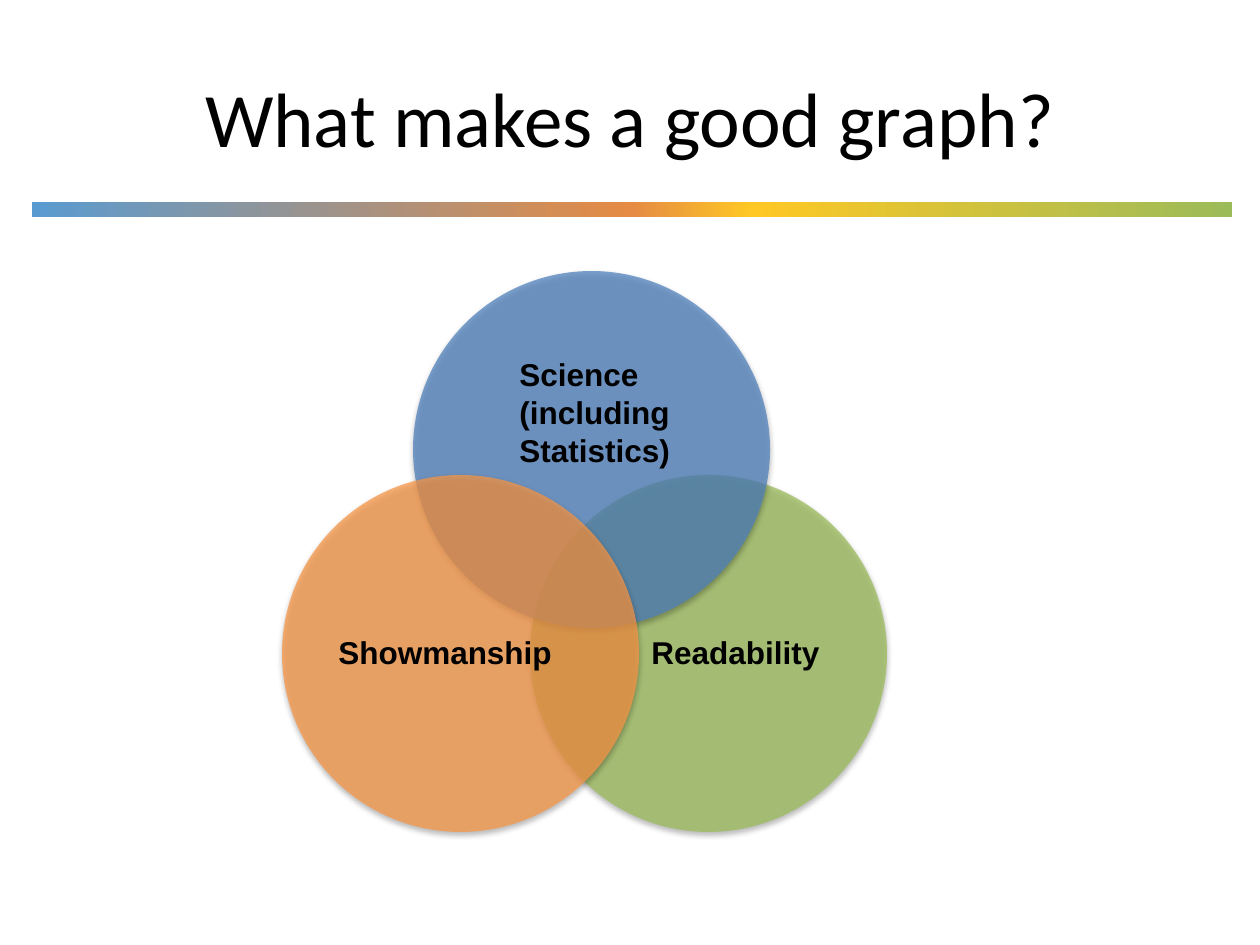
from dataclasses import dataclass

from lxml import etree
from pptx import Presentation
from pptx.dml.color import RGBColor
from pptx.enum.shapes import MSO_SHAPE
from pptx.enum.text import MSO_ANCHOR, MSO_AUTO_SIZE, PP_ALIGN
from pptx.oxml.ns import qn
from pptx.util import Pt

RECTANGLE, OVAL = MSO_SHAPE.RECTANGLE, MSO_SHAPE.OVAL
MIDDLE, TOP = MSO_ANCHOR.MIDDLE, MSO_ANCHOR.TOP
LEFT, CENTER = PP_ALIGN.LEFT, PP_ALIGN.CENTER
FIT_SHAPE = MSO_AUTO_SIZE.SHAPE_TO_FIT_TEXT
NO_FIT = MSO_AUTO_SIZE.NONE
EMU_PER_PX = 914400 / 126


@dataclass(frozen=True)
class Theme:
    ink: str = "000000"
    green: str = "9BBB59"
    blue: str = "4F81BD"
    orange: str = "F79646"
    rainbow: tuple = ((0, "599BD1"), (50, "E58B43"), (60, "FFC824"), (100, "9BBB59"))
    circle_opacity: int = 74
    shadow_opacity: int = 35
    title_font: str = "Calibri"
    label_font: str = "Arial"
    title_size: int = 44
    label_size: int = 18


def px(*lengths):
    return [round(length * EMU_PER_PX) for length in lengths]


def add_color(parent, color, opacity=100):
    node = etree.SubElement(parent, qn("a:srgbClr"), val=color)
    if opacity < 100:
        etree.SubElement(node, qn("a:alpha"), val=str(opacity * 1000))


def write(frame, text, *, font, size, color, bold=False, align=LEFT,
          anchor=TOP, fit=NO_FIT):
    frame.word_wrap = True
    frame.auto_size = fit
    frame.vertical_anchor = anchor
    paragraph = frame.paragraphs[0]
    paragraph.alignment = align
    run = paragraph.add_run()
    run.text = text
    run.font.name, run.font.size, run.font.bold = font, Pt(size), bold
    run.font.color.rgb = RGBColor.from_string(color)


class SlideBuilder:
    def __init__(self, slide, theme):
        self.slide = slide
        self.theme = theme

    def title(self, text, box):
        heading = self.slide.shapes.title
        heading.left, heading.top, heading.width, heading.height = px(*box)
        write(heading.text_frame, text, font=self.theme.title_font,
              size=self.theme.title_size, color=self.theme.ink,
              align=CENTER, anchor=MIDDLE)

    def gradient_bar(self, box):
        bar = self.slide.shapes.add_shape(RECTANGLE, *px(*box))
        bar.shadow.inherit = False
        bar.line.fill.background()
        bar.fill.gradient()
        bar.fill.gradient_angle = 0
        stops = bar._element.spPr.find(".//" + qn("a:gsLst"))
        for stop in list(stops):
            stops.remove(stop)
        for position, color in self.theme.rainbow:
            stop = etree.SubElement(stops, qn("a:gs"), pos=str(position * 1000))
            add_color(stop, color)

    def circle(self, shapes, left, top, diameter, color):
        disc = shapes.add_shape(OVAL, *px(left, top, diameter, diameter))
        disc.fill.solid()
        disc.fill.fore_color.rgb = RGBColor.from_string(color)
        disc.line.fill.background()
        disc.shadow.inherit = False
        properties = disc._element.spPr
        # Translucent fill
        tint = properties.find(qn("a:solidFill")).find(qn("a:srgbClr"))
        etree.SubElement(tint, qn("a:alpha"),
                         val=str(self.theme.circle_opacity * 1000))
        # Soft shadow straight below
        shadow = etree.SubElement(
            properties.find(qn("a:effectLst")), qn("a:outerShdw"),
            blurRad=str(Pt(3.1)), dist=str(Pt(1.8)), dir="5400000", rotWithShape="0")
        add_color(shadow, self.theme.ink, self.theme.shadow_opacity)

    def label(self, shapes, text, box):
        caption = shapes.add_textbox(*px(*box))
        write(caption.text_frame, text, font=self.theme.label_font,
              size=self.theme.label_size, color=self.theme.ink,
              bold=True, fit=FIT_SHAPE)

    def venn_set(self, text, left, top, diameter, color, label_box):
        members = self.slide.shapes.add_group_shape().shapes
        self.circle(members, left, top, diameter, color)
        self.label(members, text, label_box)


def main():
    theme = Theme()
    deck = Presentation()
    deck.slide_width, deck.slide_height = px(1260, 945)
    builder = SlideBuilder(deck.slides.add_slide(deck.slide_layouts[5]), theme)

    # Heading
    builder.gradient_bar((32, 202, 1200, 15))
    builder.title("What makes a good graph?", (63, 38, 1134, 158))

    # Venn diagram, from back to front
    diameter, upper_row, lower_row, lower_label = 357, 271, 475, 627
    venn_sets = (
        ("Readability", 530, lower_row, theme.green, (639, lower_label, 198, 50)),
        ("Science (including Statistics)", 413, upper_row, theme.blue,
         (507, 349, 198, 127)),
        ("Showmanship", 282, lower_row, theme.orange, (326, lower_label, 268, 50)),
    )
    for text, left, top, color, label_box in venn_sets:
        builder.venn_set(text, left, top, diameter, color, label_box)

    deck.save("out.pptx")


if __name__ == "__main__":
    main()
